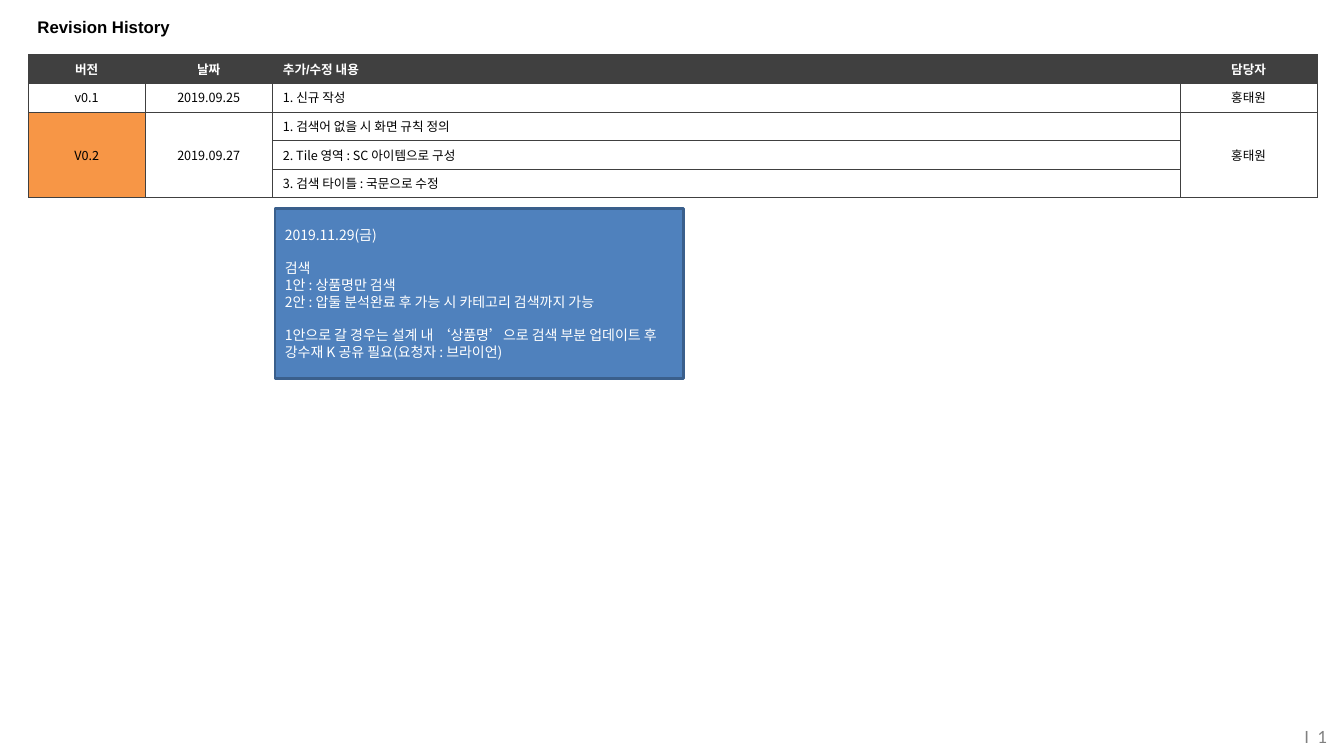
import pptx
import pptx.util
import pptx.dml.color
import pptx.enum.shapes
import pptx.enum.text
import pptx.oxml
from pptx.oxml.ns import nsdecls

Cm, Pt = pptx.util.Cm, pptx.util.Pt
RGBColor = pptx.dml.color.RGBColor
ALIGN = pptx.enum.text.PP_ALIGN
MIDDLE = pptx.enum.text.MSO_ANCHOR.MIDDLE

TITLE = "Revision History"
PAGE = "I  1"
HEADER = ["버전", "날짜", "추가/수정 내용", "담당자"]
REVISIONS = [
    ("v0.1", "2019.09.25", ["1. 신규 작성"], "홍태원"),
    ("V0.2", "2019.09.27", ["1. 검색어 없을 시 화면 규칙 정의",
                            "2. Tile 영역 : SC 아이템으로 구성",
                            "3. 검색 타이틀 : 국문으로 수정"], "홍태원"),
]
NOTE = [
    ["2019.11.29(금)"],
    ["검색", "1안 : 상품명만 검색", "2안 : 압둘 분석완료 후 가능 시 카테고리 검색까지 가능"],
    ["1안으로 갈 경우는 설계 내 ‘상품명’으로 검색 부분 업데이트 후 "
     "강수재 K 공유 필요(요청자 : 브라이언)"],
]
COL_WIDTHS = [2.95, 3.2, 22.88, 3.45]
ROW_HEIGHT = 0.65
CONTENT_COL = 2
LATEST = "V0.2"

BLACK = RGBColor(0x00, 0x00, 0x00)
WHITE = RGBColor(0xFF, 0xFF, 0xFF)
DARK = RGBColor(0x40, 0x40, 0x40)
GRAY = RGBColor(0x80, 0x80, 0x80)
ORANGE = RGBColor(0xF7, 0x96, 0x46)
BLUE = RGBColor(0x4F, 0x81, 0xBD)
NAVY = RGBColor(0x3A, 0x5F, 0x8C)
KOREAN = "Noto Sans CJK KR"


def add_run(p, text, size, color, font=KOREAN, bold=False):
    """Add one formatted run with a Korean font for Hangul."""
    r = p.add_run()
    r.text = text
    r.font.size = Pt(size)
    r.font.name = font
    r.font.bold = bold
    r.font.color.rgb = color
    r.font._element.append(pptx.oxml.parse_xml(
        f'<a:ea {nsdecls("a")} typeface="{KOREAN}"/>'))


def set_borders(cell):
    """Draw a thin dark line on all four sides of a cell."""
    tcPr = cell._tc.get_or_add_tcPr()
    for side in ("lnL", "lnR", "lnT", "lnB"):
        tcPr.append(pptx.oxml.parse_xml(
            f'<a:{side} {nsdecls("a")} w="{Pt(0.25)}"><a:solidFill>'
            f'<a:srgbClr val="{DARK}"/></a:solidFill></a:{side}>'))


def fill_cell(cell, text, col, header=False):
    """Write and colour one table cell."""
    p = cell.text_frame.paragraphs[0]
    p.alignment = ALIGN.LEFT if col == CONTENT_COL else ALIGN.CENTER
    if header:
        add_run(p, text, 9, WHITE, "Arial", True)
    else:
        add_run(p, text, 9, BLACK)
    if header or text == LATEST:
        cell.fill.solid()
        cell.fill.fore_color.rgb = DARK if header else ORANGE


def add_history(s):
    """Add the revision table, merging rows that share a version."""
    rows = 1 + sum(len(changes) for _, _, changes, _ in REVISIONS)
    table = s.shapes.add_table(
        rows, len(HEADER), Cm(0.71), Cm(1.37),
        Cm(sum(COL_WIDTHS)), Cm(ROW_HEIGHT * rows)).table
    table.first_row = table.horz_banding = False
    for column, width in zip(table.columns, COL_WIDTHS):
        column.width = Cm(width)
    for row in table.rows:
        row.height = Cm(ROW_HEIGHT)
    for cell in table.iter_cells():
        cell.vertical_anchor = MIDDLE
        cell.margin_left = cell.margin_right = Cm(0.27)
        cell.margin_top = cell.margin_bottom = Cm(0.13)
        set_borders(cell)
        cell.fill.background()
    for col, text in enumerate(HEADER):
        fill_cell(table.cell(0, col), text, col, header=True)
    top = 1
    for version, date, changes, owner in REVISIONS:
        last = top + len(changes) - 1
        for col, text in ((0, version), (1, date), (3, owner)):
            if last > top:
                table.cell(top, col).merge(table.cell(last, col))
            fill_cell(table.cell(top, col), text, col)
        for i, change in enumerate(changes):
            fill_cell(table.cell(top + i, CONTENT_COL), change, CONTENT_COL)
        top = last + 1


def add_note(s):
    """Add the blue note with a line of space between its groups."""
    sp = s.shapes.add_shape(pptx.enum.shapes.MSO_SHAPE.RECTANGLE,
                            Cm(6.93), Cm(5.26), Cm(10.29), Cm(4.27))
    sp.shadow.inherit = False
    sp.fill.solid()
    sp.fill.fore_color.rgb = BLUE
    sp.line.color.rgb = NAVY
    sp.line.width = Pt(2)
    tf = sp.text_frame
    tf.word_wrap = True
    tf.vertical_anchor = MIDDLE
    for g, group in enumerate(NOTE):
        for i, line in enumerate(group):
            p = tf.add_paragraph() if g or i else tf.paragraphs[0]
            p.alignment = ALIGN.LEFT
            p.line_spacing = Pt(12)
            p.space_before = Pt(12 if g and i == 0 else 0)
            add_run(p, line, 10, WHITE)


def main():
    """Build the revision history slide."""
    prs = pptx.Presentation()
    prs.slide_width, prs.slide_height = Cm(33.87), Cm(19.05)
    s = prs.slides.add_slide(prs.slide_layouts[5])

    title = s.shapes.title
    title.left, title.top, title.width, title.height = (
        Cm(0.69), Cm(0.18), Cm(32.49), Cm(0.97))
    tf = title.text_frame
    tf.vertical_anchor = MIDDLE
    p = tf.paragraphs[0]
    p.alignment = ALIGN.LEFT
    add_run(p, TITLE, 12, BLACK, "Arial", True)

    add_history(s)
    add_note(s)

    tf = s.shapes.add_textbox(Cm(28.55), Cm(18.06), Cm(4.9), Cm(0.99)).text_frame
    tf.word_wrap = True
    tf.margin_left = tf.margin_right = tf.margin_top = tf.margin_bottom = 0
    tf.vertical_anchor = MIDDLE
    p = tf.paragraphs[0]
    p.alignment = ALIGN.RIGHT
    add_run(p, PAGE, 12, GRAY, "Lato")

    prs.save("out.pptx")


if __name__ == "__main__":
    main()
